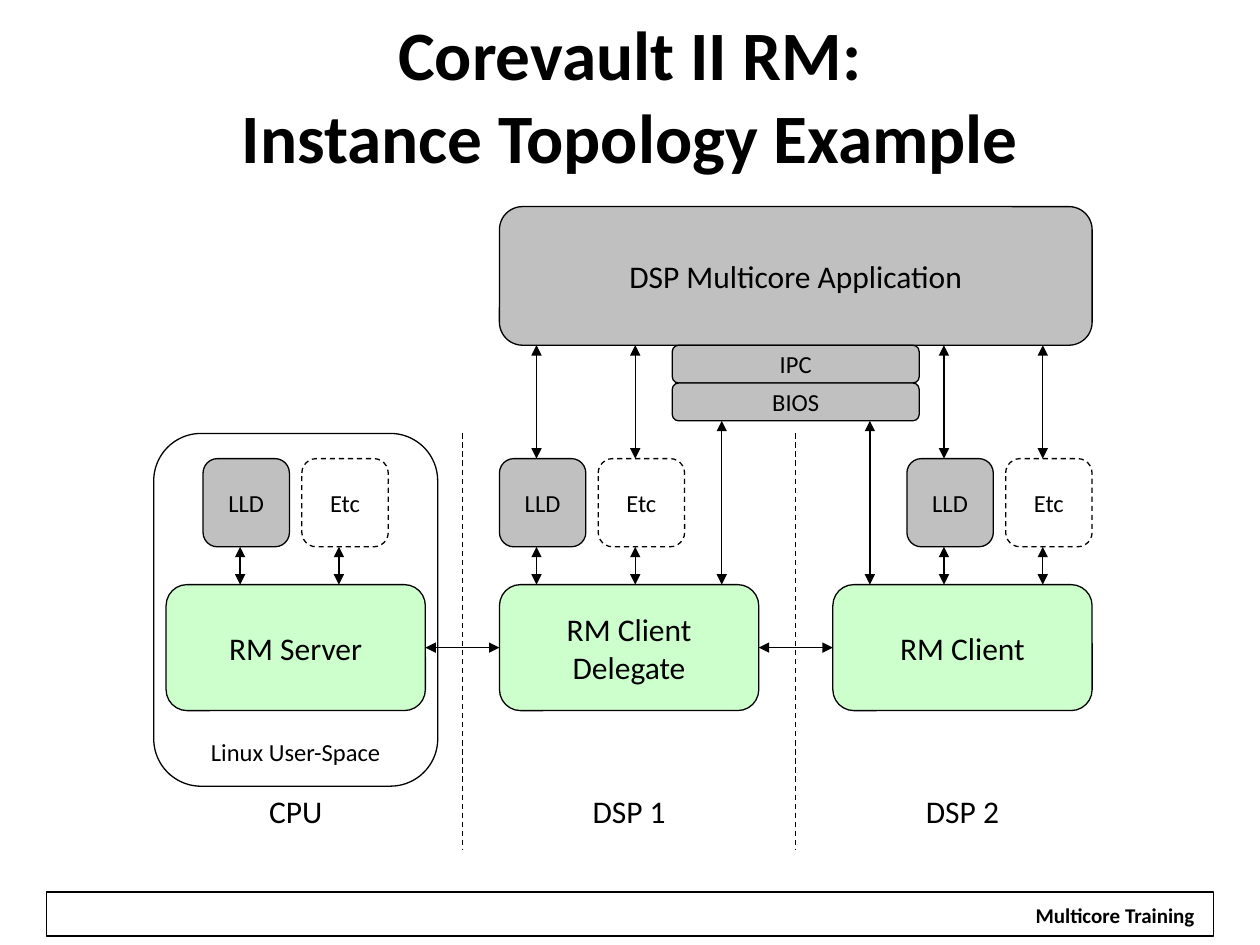
from dataclasses import dataclass

from lxml import etree
from pptx import Presentation
from pptx import util as u
from pptx.dml.color import RGBColor
from pptx.enum import dml, shapes, text
from pptx.oxml.ns import qn


@dataclass(frozen=True)
class Theme:
    font: str = "Calibri"
    ink: str = "000000"
    paper: str = "FFFFFF"
    gray: str = "C0C0C0"
    green: str = "CCFFCC"
    title: float = 39.6
    large: float = 18
    small: float = 14
    footer: float = 12
    line: float = 0.75


THEME = Theme()

# Diagram grid, in inches
LEFT, TOP = 1.22, 1.64
COLUMN, ROW = 0.098, 0.1


def grid_x(column):
    return u.Inches(LEFT + column * COLUMN)


def grid_y(row):
    return u.Inches(TOP + row * ROW)


def grid_area(column, row, columns, rows):
    return grid_x(column), grid_y(row), u.Inches(columns * COLUMN), u.Inches(rows * ROW)


def style_line(line, dashed=False):
    line.color.rgb = RGBColor.from_string(THEME.ink)
    line.width = u.Pt(THEME.line)
    if dashed:
        line.dash_style = dml.MSO_LINE.DASH


def write(box, words, size, bold=False, anchor=text.MSO_ANCHOR.MIDDLE,
          align=text.PP_ALIGN.CENTER, wrap=True):
    frame = box.text_frame
    frame.word_wrap = wrap
    frame.vertical_anchor = anchor
    frame.text = words
    para = frame.paragraphs[0]
    para.alignment = align
    para.font.name = THEME.font
    para.font.size = u.Pt(size)
    para.font.bold = bold
    para.font.color.rgb = RGBColor.from_string(THEME.ink)


def add_box(page, area, fill=None, dashed=False, kind=shapes.MSO_SHAPE.ROUNDED_RECTANGLE):
    box = page.shapes.add_shape(kind, *area)
    box.shadow.inherit = False
    if fill:
        box.fill.solid()
        box.fill.fore_color.rgb = RGBColor.from_string(fill)
    else:
        box.fill.background()
    style_line(box.line, dashed)
    return box


def add_line(page, start, end, dashed=False, arrows=False):
    line = page.shapes.add_connector(
        shapes.MSO_CONNECTOR.STRAIGHT,
        grid_x(start[0]), grid_y(start[1]), grid_x(end[0]), grid_y(end[1]))
    style_line(line.line, dashed)
    if arrows:
        outline = line.line._get_or_add_ln()
        for end_name in ("a:headEnd", "a:tailEnd"):
            etree.SubElement(outline, qn(end_name), type="triangle")
    etree.SubElement(line._element.spPr, qn("a:effectLst"))


def add_title(page, deck):
    title = page.shapes.title
    title.left, title.top = int(deck.slide_width * 0.05), u.Inches(0.08)
    title.width, title.height = int(deck.slide_width * 0.9), u.Inches(1.33)
    title.text_frame.auto_size = text.MSO_AUTO_SIZE.NONE
    write(title, "Corevault II RM:\vInstance Topology Example", THEME.title, bold=True)


def add_footer(page):
    area = [u.Inches(n) for n in (0.37, 7.08, 9.26, 0.35)]
    add_box(page, area, kind=shapes.MSO_SHAPE.RECTANGLE)
    label = page.shapes.add_textbox(*[u.Inches(n) for n in (8.11, 7.11, 1.48, 0.3)])
    write(label, "Multicore Training", THEME.footer, bold=True, wrap=False)


def add_core(page, name, module, column, driver_column, app_arrows):
    """One processor: its RM module, drivers and caption."""
    write(add_box(page, grid_area(column, 30, 21, 10), THEME.green), module, THEME.large)
    drivers = (("LLD", THEME.gray, False), ("Etc", None, True))
    for index, (words, fill, dashed) in enumerate(drivers):
        left = driver_column + 8 * index
        box = add_box(page, grid_area(left, 20, 7, 7), fill, dashed)
        write(box, words, THEME.small)
        add_line(page, (left + 3, 27), (left + 3, 30), arrows=True)
        if app_arrows:
            add_line(page, (left + 3, 11), (left + 3, 20), arrows=True)
    caption = page.shapes.add_textbox(*grid_area(column - 1, 46, 23, 5))
    write(caption, name, THEME.large, anchor=text.MSO_ANCHOR.TOP)


def main():
    deck = Presentation()
    deck.slide_width, deck.slide_height = u.Inches(10), u.Inches(7.5)
    page = deck.slides.add_slide(deck.slide_layouts[5])
    add_footer(page)
    add_title(page, deck)

    # User-space container behind the first processor's modules
    container = add_box(page, grid_area(0, 18, 23, 28), THEME.paper)
    write(container, "Linux User-Space", THEME.small, anchor=text.MSO_ANCHOR.BOTTOM)

    # Application and the layers below it
    application = add_box(page, grid_area(28, 0, 48, 11), THEME.gray)
    write(application, "DSP Multicore Application", THEME.large)
    for index, layer in enumerate(("IPC", "BIOS")):
        box = add_box(page, grid_area(42, 11 + 3 * index, 20, 3), THEME.gray)
        write(box, layer, THEME.small)

    # Processors
    add_core(page, "CPU", "RM Server", 1, 4, False)
    add_core(page, "DSP 1", "RM Client Delegate", 28, 28, True)
    add_core(page, "DSP 2", "RM Client", 55, 61, True)

    # Dividers and the links that cross them
    for column in (25, 52):
        add_line(page, (column, 18), (column, 51), dashed=True)
        add_line(page, (column - 3, 35), (column + 3, 35), arrows=True)

    # Links from BIOS to the DSP modules
    for column in (46, 58):
        add_line(page, (column, 17), (column, 30), arrows=True)

    deck.save("out.pptx")


if __name__ == "__main__":
    main()
